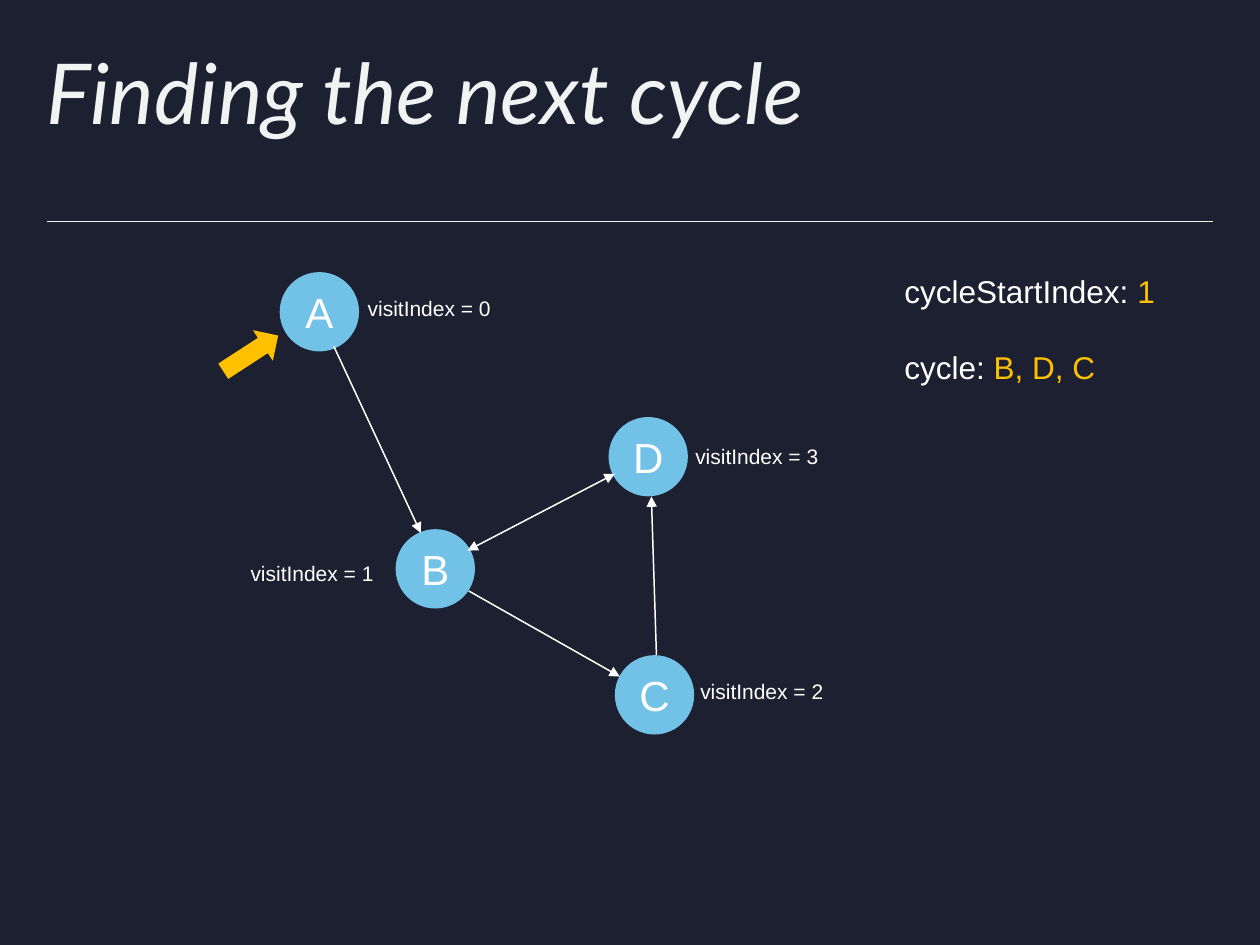
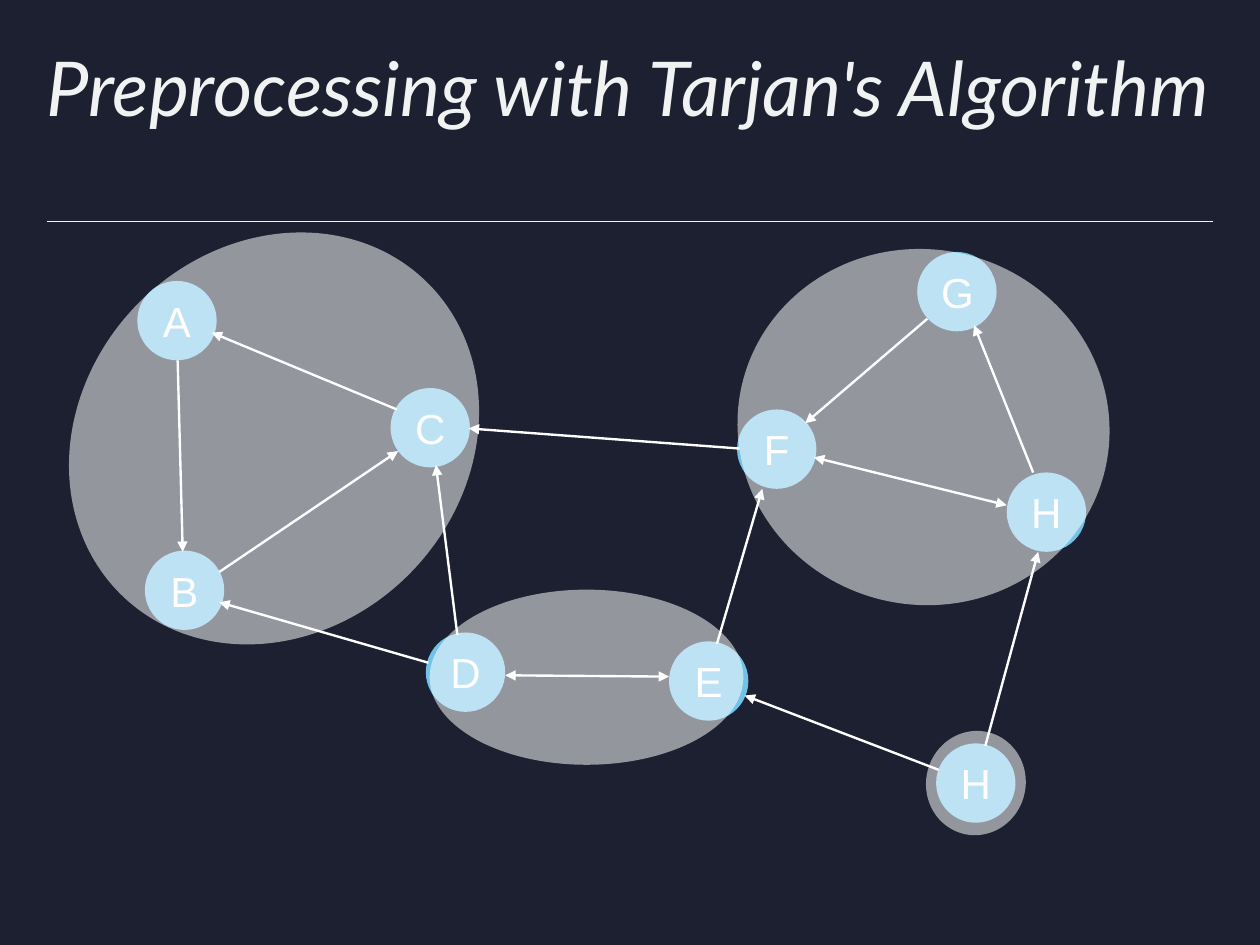
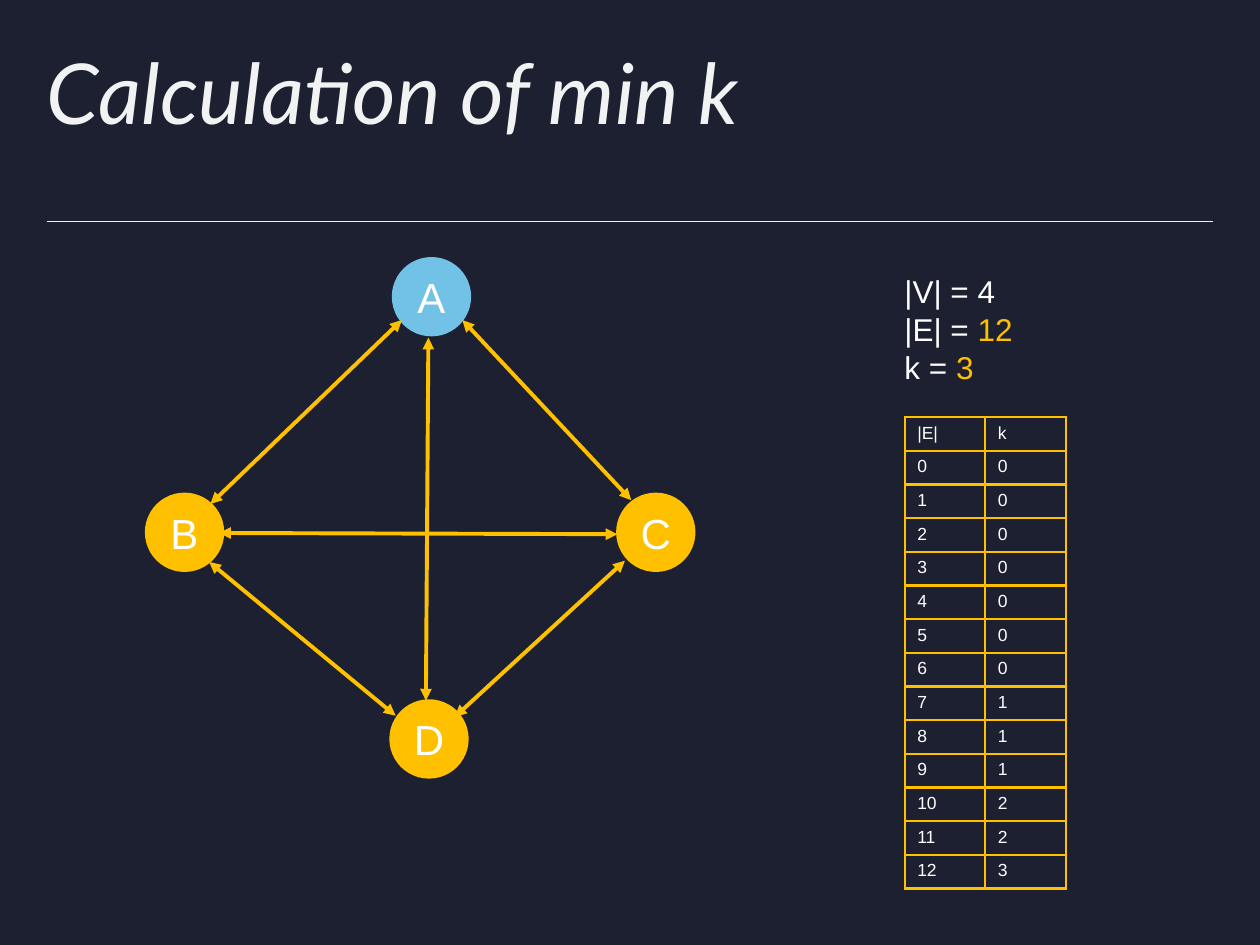
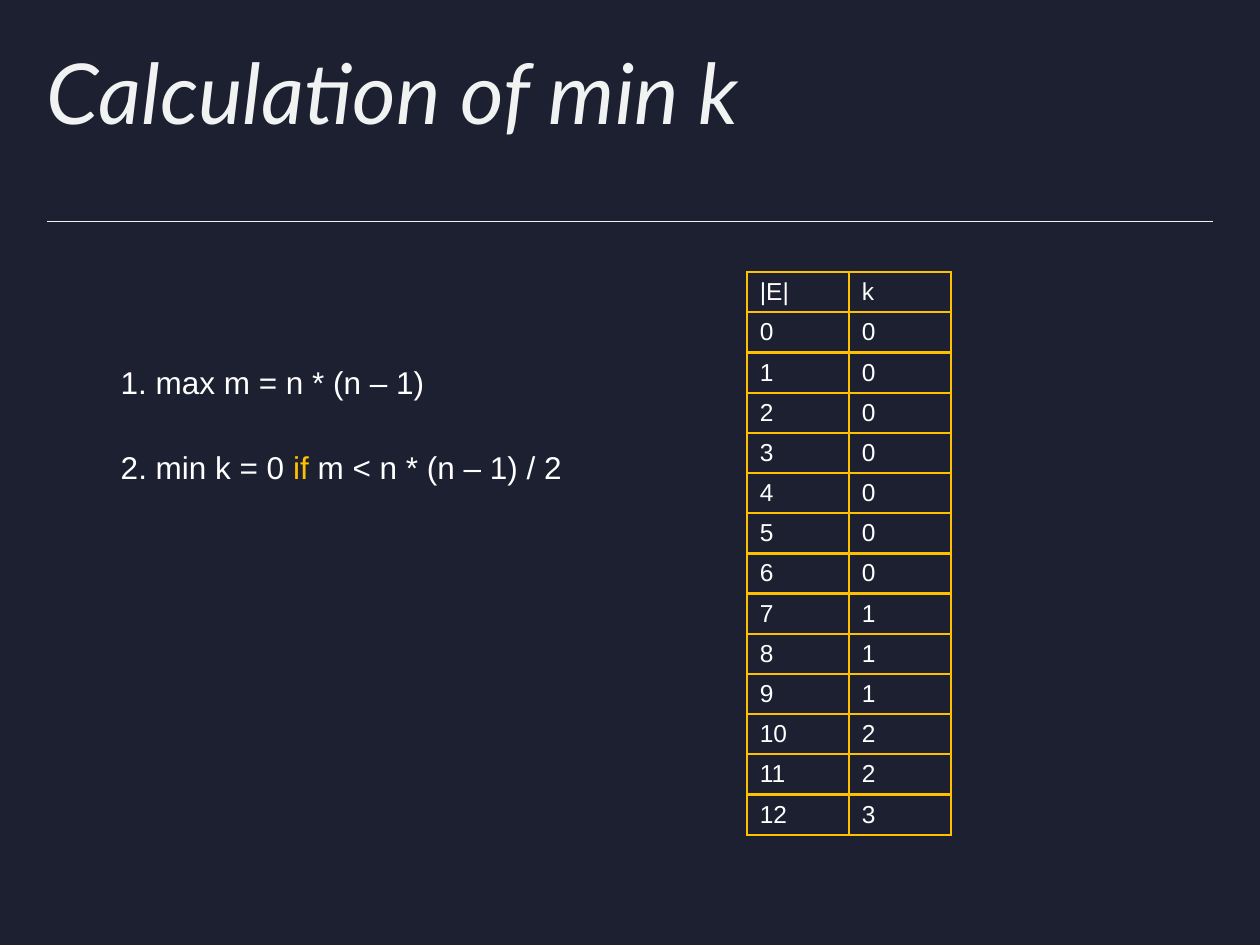
from pptx import Presentation
from pptx.dml.color import RGBColor
from pptx.enum.shapes import MSO_CONNECTOR as Connector, MSO_SHAPE as Shape
from pptx.enum.text import MSO_ANCHOR as Anchor, MSO_AUTO_SIZE as AutoSize, PP_ALIGN as Align
from pptx.oxml.ns import qn
from pptx.util import Inches, Pt
from lxml.etree import SubElement

BACKGROUND, TITLE_COLOR, WHITE = "1C2031", "F0F3F1", "FFFFFF"
BLUE, GOLD = "72C2E8", "FFC000"
TITLE_FONT, BODY_FONT = "Lato", "Arial"
NODE_SIZE = 0.63
MIN_K = [("|E|", "k")] + list(enumerate([0] * 7 + [1] * 3 + [2] * 2 + [3]))


def rgb(color):
    """Turn a hex string into a colour."""
    return RGBColor.from_string(color)


def set_font(font, size, color=WHITE, name=BODY_FONT):
    """Set the size, colour and typeface of a font."""
    font.size, font.name = Pt(size), name
    font.color.rgb = rgb(color)


def add_slide(presentation, title, size=48):
    """Add a slide with the shared title style and rule."""
    slide = presentation.slides.add_slide(presentation.slide_layouts[5])
    shape = slide.shapes.title
    shape.left, shape.top = Inches(0.37), Inches(0.41)
    shape.width, shape.height = Inches(9.27), Inches(1.08)
    frame = shape.text_frame
    frame.text = title
    frame.auto_size, frame.word_wrap = AutoSize.NONE, True
    frame.vertical_anchor = Anchor.TOP
    frame.margin_left = frame.margin_right = frame.margin_top = frame.margin_bottom = 0
    paragraph = frame.paragraphs[0]
    paragraph.alignment, paragraph.line_spacing = Align.LEFT, 0.9
    set_font(paragraph.font, size, TITLE_COLOR, TITLE_FONT)
    paragraph.font.italic = True
    add_line(slide, (0.37, 1.76, 9.63, 1.76), TITLE_COLOR, 0.5)
    return slide


def add_line(slide, ends, color, width, arrows=()):
    """Add a straight line with arrowheads at the named ends."""
    line = slide.shapes.add_connector(Connector.STRAIGHT, *map(Inches, ends))
    line.line.color.rgb = rgb(color)
    line.line.width = Pt(width)
    for end in arrows:
        SubElement(line.line._get_or_add_ln(), qn(f"a:{end}"), type="triangle")
    SubElement(line._element.spPr, qn("a:effectLst"))


def add_edges(slide, one_way, two_way, color, width):
    """Add the directed and the mutual edges of a graph."""
    for ends in one_way:
        add_line(slide, ends, color, width, ["tailEnd"])
    for ends in two_way:
        add_line(slide, ends, color, width, ["headEnd", "tailEnd"])


def add_filled(slide, kind, box, color, rotation=0):
    """Add a flat shape without outline."""
    shape = slide.shapes.add_shape(kind, *map(Inches, box))
    shape.shadow.inherit = False
    shape.fill.solid()
    shape.fill.fore_color.rgb = rgb(color)
    shape.line.fill.background()
    shape.rotation = rotation
    return shape


def add_nodes(slide, nodes):
    """Add lettered graph nodes given as letter, left, top, colour."""
    for letter, left, top, color in nodes:
        node = add_filled(slide, Shape.FLOWCHART_CONNECTOR,
                          (left, top, NODE_SIZE, NODE_SIZE), color)
        frame = node.text_frame
        frame.text = letter
        frame.vertical_anchor = Anchor.MIDDLE
        frame.paragraphs[0].alignment = Align.CENTER
        set_font(frame.paragraphs[0].font, 24)


def add_component(slide, box, rotation=0):
    """Add a translucent ellipse over a strongly connected component."""
    ellipse = add_filled(slide, Shape.OVAL, box, WHITE, rotation)
    color = ellipse._element.spPr.find(f".//{qn('a:srgbClr')}")
    SubElement(color, qn("a:alpha"), val="53000")


def add_text(slide, box, lines, size=18, gap=0):
    """Add a text box; each line is a list of (text, colour) runs."""
    frame = slide.shapes.add_textbox(*map(Inches, box)).text_frame
    frame.word_wrap, frame.auto_size = True, AutoSize.SHAPE_TO_FIT_TEXT
    for index, runs in enumerate(lines):
        paragraph = frame.add_paragraph() if index else frame.paragraphs[0]
        paragraph.space_before = Pt(gap if index else 0)
        for text, color in runs:
            run = paragraph.add_run()
            run.text = text
            set_font(run.font, size, color)


def add_border(cell):
    """Draw a gold border on all sides of a cell."""
    properties = cell._tc.get_or_add_tcPr()
    for side in ("lnL", "lnR", "lnT", "lnB"):
        line = SubElement(properties, qn(f"a:{side}"), w=str(Pt(1.5)))
        fill = SubElement(line, qn("a:solidFill"))
        SubElement(fill, qn("a:srgbClr"), val=GOLD)


def add_min_k_table(slide, left, top, column_width, row_height, size):
    """Add the table of the minimal k for each number of edges."""
    table = slide.shapes.add_table(
        len(MIN_K), 2, Inches(left), Inches(top),
        Inches(2 * column_width), Inches(len(MIN_K) * row_height)).table
    table.first_row = table.horz_banding = False
    for row, values in zip(table.rows, MIN_K):
        for cell, value in zip(row.cells, values):
            cell.text = str(value)
            set_font(cell.text_frame.paragraphs[0].font, size)
            add_border(cell)
            cell.fill.background()


def build_next_cycle(presentation):
    """Build the slide on finding the next cycle."""
    slide = add_slide(presentation, "Finding the next cycle")
    add_nodes(slide, [("A", 2.22, 2.16, BLUE), ("C", 4.88, 5.2, BLUE),
                      ("B", 3.14, 4.2, BLUE), ("D", 4.83, 3.31, BLUE)])
    add_edges(slide,
              [(2.65, 2.75, 3.34, 4.23), (3.72, 4.69, 4.92, 5.37), (5.21, 5.2, 5.17, 3.94)],
              [(3.71, 4.37, 4.88, 3.76)], WHITE, 0.85)
    add_text(slide, (7.08, 2.11, 3, 1.01),
             [[("cycleStartIndex: ", WHITE), ("1", GOLD)],
              [("cycle:\u00a0", WHITE), ("B, D, C", GOLD)]], gap=21.6)
    add_filled(slide, Shape.RIGHT_ARROW, (1.73, 2.66, 0.52, 0.29), GOLD, 327)
    label_places = [(2.82, 2.3), (1.89, 4.4), (5.46, 5.34), (5.42, 3.47)]
    for index, (left, top) in enumerate(label_places):
        add_text(slide, (left, top, 3, 0.3), [[(f"visitIndex = {index}", WHITE)]], 12)


def build_preprocessing(presentation):
    """Build the slide on strongly connected components."""
    slide = add_slide(presentation, "Preprocessing with Tarjan's Algorithm", 43.2)
    add_nodes(slide, [("A", 1.09, 2.23, BLUE), ("C", 3.1, 3.08, BLUE), ("B", 1.15, 4.37, BLUE),
                      ("D", 3.38, 5.02, BLUE), ("E", 5.31, 5.09, BLUE), ("F", 5.85, 3.25, BLUE),
                      ("H", 7.99, 3.75, BLUE), ("G", 7.28, 2, BLUE), ("H", 7.43, 5.9, BLUE)])
    add_edges(slide,
              [(1.41, 2.86, 1.45, 4.38), (1.74, 4.54, 3.16, 3.58), (3.15, 3.25, 1.68, 2.64),
               (3.4, 5.26, 1.74, 4.78), (3.63, 5.04, 3.46, 3.69), (7.82, 5.92, 8.24, 4.38),
               (7.45, 6.11, 5.91, 5.52), (8.2, 3.75, 7.73, 2.58), (5.87, 3.56, 3.72, 3.4),
               (7.36, 2.53, 6.39, 3.36), (5.69, 5.11, 6.05, 3.88)],
              [(4.01, 5.36, 5.31, 5.37), (6.46, 3.63, 7.99, 4.01)], WHITE, 1.35)
    add_component(slide, (0.44, 1.96, 3.47, 3.04), 314)
    add_component(slide, (5.85, 1.98, 2.96, 2.82), 13)
    add_component(slide, (3.41, 4.68, 2.49, 1.39))
    add_component(slide, (7.35, 5.8, 0.79, 0.83), 13)


def build_min_k_graph(presentation):
    """Build the slide with the complete graph and its minimal k."""
    slide = add_slide(presentation, "Calculation of min k")
    add_nodes(slide, [("A", 3.11, 2.04, BLUE), ("D", 3.09, 5.55, GOLD),
                      ("B", 1.15, 3.91, GOLD), ("C", 4.89, 3.91, GOLD)])
    add_text(slide, (7.08, 2.11, 3, 1.01),
             [[("|V| = 4", WHITE)],
              [("|E| = ", WHITE), ("12", GOLD)],
              [("k = ", WHITE), ("3", GOLD)]])
    add_edges(slide, [],
              [(3.61, 5.69, 4.96, 4.45), (3.38, 5.56, 3.4, 2.68), (3.14, 5.68, 1.66, 4.46),
               (1.74, 4.23, 4.9, 4.24), (3.67, 2.54, 5.01, 3.97), (3.19, 2.54, 1.67, 4)],
              GOLD, 2.25)
    add_min_k_table(slide, 7.18, 3.31, 0.64, 0.2, 10)


def build_min_k_rules(presentation):
    """Build the slide with the rules for the minimal k."""
    slide = add_slide(presentation, "Calculation of min k")
    add_min_k_table(slide, 5.93, 2.16, 0.81, 0.2, 14)
    add_text(slide, (0.86, 2.83, 3, 0.4), [[("1. max m = n * (n – 1)", WHITE)]])
    add_text(slide, (0.86, 3.51, 4.71, 0.4),
             [[("2. min k = 0 ", WHITE), ("if\u00a0", GOLD), ("m < n * (n – 1) / 2", WHITE)]])


def main():
    """Build and save the presentation."""
    presentation = Presentation()
    presentation.slide_width, presentation.slide_height = Inches(10), Inches(7.5)
    background = presentation.slide_master.background.fill
    background.solid()
    background.fore_color.rgb = rgb(BACKGROUND)
    build_next_cycle(presentation)
    build_preprocessing(presentation)
    build_min_k_graph(presentation)
    build_min_k_rules(presentation)
    presentation.save("out.pptx")


main()
